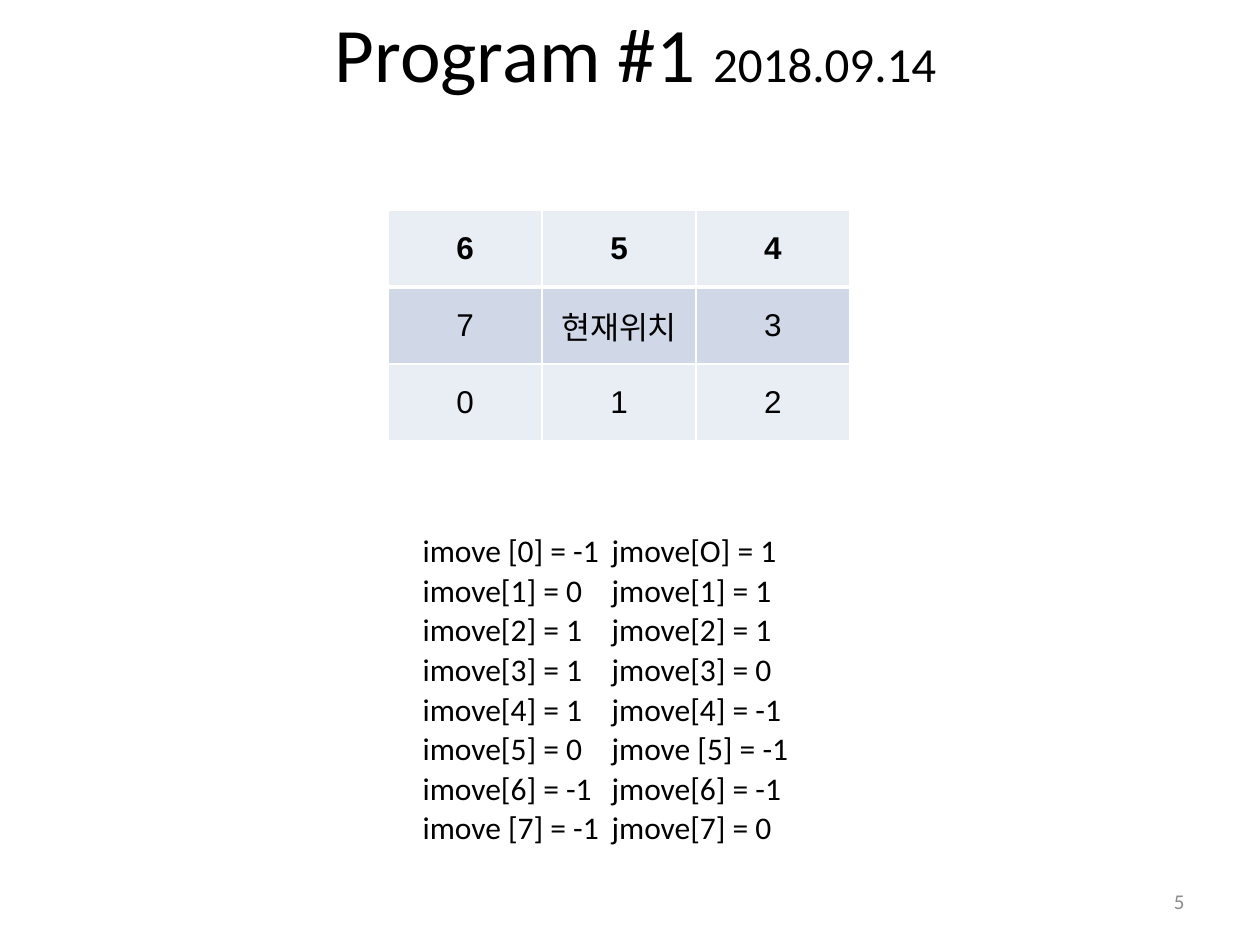
from dataclasses import dataclass

import lxml.etree
import pptx
import pptx.dml.color
import pptx.enum.dml
import pptx.enum.text
import pptx.oxml.ns
import pptx.util

EMU_PER_PX = 914400 / 126
ALIGN = pptx.enum.text.PP_ALIGN
MIDDLE = pptx.enum.text.MSO_ANCHOR.MIDDLE
qn = pptx.oxml.ns.qn


@dataclass(frozen=True)
class Theme:
    ink: str = "000000"
    muted: str = "8C8C8C"
    light_band: str = "E9EDF4"
    dark_band: str = "D0D8E8"
    grid: str = "FFFFFF"
    text_font: str = "Calibri"
    table_font: str = "Arial"
    title_size: int = 44
    date_size: int = 28
    text_size: int = 18
    number_size: int = 12


@dataclass(frozen=True)
class Box:
    left: int
    top: int
    width: int
    height: int

    def emu(self) -> tuple:
        return tuple(px(v) for v in (self.left, self.top, self.width, self.height))


@dataclass(frozen=True)
class Move:
    row_step: str
    column_step: str


THEME = Theme()
TITLE_BOX = Box(42, 10, 1187, 84)
MOVES_BOX = Box(410, 529, 483, 353)
DIRECTIONS_BOX = Box(388, 210, 462, 231)
NUMBER_BOX = Box(903, 876, 294, 50)
COLUMN_STEP_TAB = 190

DIRECTIONS = [("6", "5", "4"), ("7", "현재위치", "3"), ("0", "1", "2")]
MOVES = [
    Move("imove [0] = -1", "jmove[O] = 1"),
    Move("imove[1] = 0", "jmove[1] = 1"),
    Move("imove[2] = 1", "jmove[2] = 1"),
    Move("imove[3] = 1", "jmove[3] = 0"),
    Move("imove[4] = 1", "jmove[4] = -1"),
    Move("imove[5] = 0", "jmove [5] = -1"),
    Move("imove[6] = -1", "jmove[6] = -1"),
    Move("imove [7] = -1", "jmove[7] = 0"),
]


def px(length: int) -> int:
    return round(length * EMU_PER_PX)


def rgb(color: str) -> pptx.dml.color.RGBColor:
    return pptx.dml.color.RGBColor.from_string(color)


def style(run, size: int, font: str = THEME.text_font,
          color: str = THEME.ink, bold: bool = False) -> None:
    run.font.size = pptx.util.Pt(size)
    run.font.name = font
    run.font.bold = bold
    run.font.color.rgb = rgb(color)


def place(shape, box: Box) -> None:
    shape.left, shape.top, shape.width, shape.height = box.emu()
    shape.text_frame.word_wrap = True
    shape.text_frame.auto_size = pptx.enum.text.MSO_AUTO_SIZE.NONE


def draw_title(title, heading: str, date: str) -> None:
    place(title, TITLE_BOX)
    title.text_frame.vertical_anchor = MIDDLE
    line = title.text_frame.paragraphs[0]
    line.alignment = ALIGN.CENTER
    for text, size in ((heading, THEME.title_size), (date, THEME.date_size)):
        run = line.add_run()
        run.text = text
        style(run, size)


def draw_moves(body, moves: list[Move]) -> None:
    place(body, MOVES_BOX)
    body.text_frame.text = "\n".join(f"{m.row_step}\t{m.column_step}" for m in moves)
    for line in body.text_frame.paragraphs:
        line.line_spacing = 0.9
        line.space_before = pptx.util.Pt(3.2)
        # No bullet, and a tab stop that lines up the second column
        properties = line._p.get_or_add_pPr()
        properties.set("marL", "0")
        properties.set("indent", "0")
        lxml.etree.SubElement(properties, qn("a:buNone"))
        tabs = lxml.etree.SubElement(properties, qn("a:tabLst"))
        lxml.etree.SubElement(tabs, qn("a:tab"), pos=str(px(COLUMN_STEP_TAB)), algn="l")
        for run in line.runs:
            style(run, THEME.text_size)


def set_borders(cell, top: int, bottom: int) -> None:
    properties = cell._tc.get_or_add_tcPr()
    widths = {"lnL": 1, "lnR": 1, "lnT": top, "lnB": bottom}
    # Border lines come before the fill in the cell properties
    for index, (side, width) in enumerate(widths.items()):
        border = lxml.etree.Element(qn(f"a:{side}"), w=str(pptx.util.Pt(width)))
        fill = lxml.etree.SubElement(border, qn("a:solidFill"))
        lxml.etree.SubElement(fill, qn("a:srgbClr"), val=THEME.grid)
        properties.insert(index, border)


def draw_directions(slide, rows: list[tuple]) -> None:
    table = slide.shapes.add_table(len(rows), len(rows[0]), *DIRECTIONS_BOX.emu()).table
    for r, labels in enumerate(rows):
        for c, label in enumerate(labels):
            cell = table.cell(r, c)
            cell.text = label
            cell.vertical_anchor = MIDDLE
            cell.fill.solid()
            cell.fill.fore_color.rgb = rgb(THEME.dark_band if r % 2 else THEME.light_band)
            set_borders(cell, top=3 if r == 1 else 1, bottom=3 if r == 0 else 1)
            line = cell.text_frame.paragraphs[0]
            line.alignment = ALIGN.CENTER
            style(line.runs[0], THEME.text_size, THEME.table_font, bold=r == 0)


def draw_page_number(slide, number: str) -> None:
    page_number = slide.shapes.add_textbox(*NUMBER_BOX.emu())
    place(page_number, NUMBER_BOX)
    page_number.text_frame.vertical_anchor = MIDDLE
    page_number.text_frame.text = number
    line = page_number.text_frame.paragraphs[0]
    line.alignment = ALIGN.RIGHT
    style(line.runs[0], THEME.number_size, color=THEME.muted)


def main() -> None:
    deck = pptx.Presentation()
    deck.slide_width = pptx.util.Inches(10)
    deck.slide_height = pptx.util.Inches(7.5)
    slide = deck.slides.add_slide(deck.slide_layouts[1])

    # Heading and list of moves
    draw_title(slide.shapes.title, "Program #1 ", "2018.09.14")
    draw_moves(slide.placeholders[1], MOVES)

    # Directions around the current position
    draw_directions(slide, DIRECTIONS)

    # Footer
    draw_page_number(slide, "5")
    deck.save("out.pptx")


if __name__ == "__main__":
    main()
